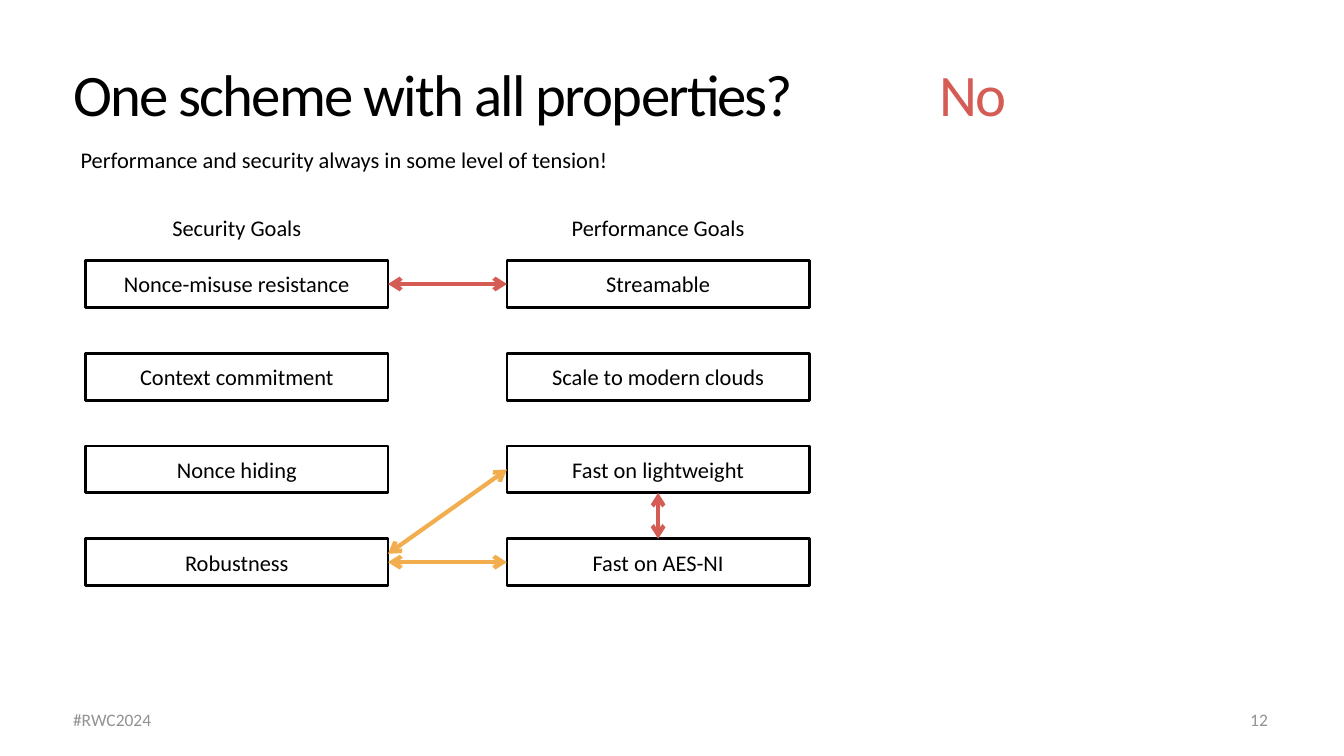
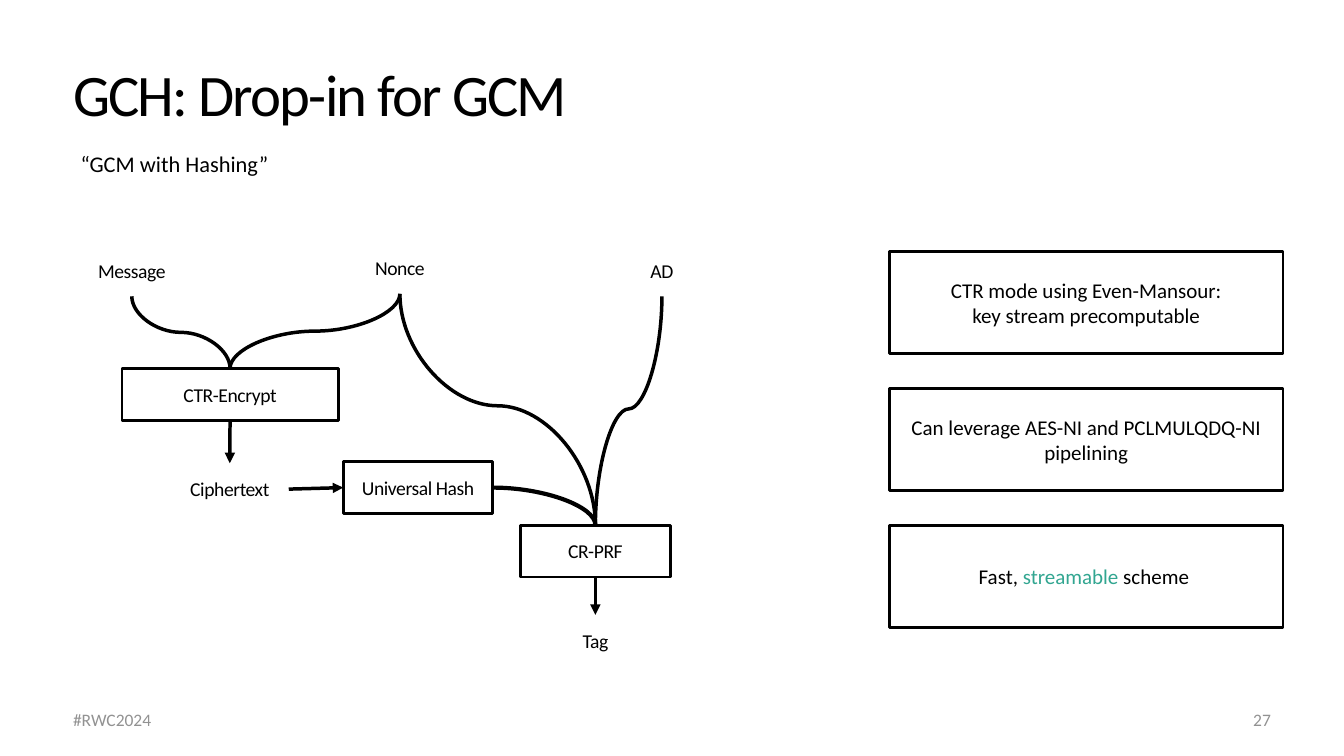
from dataclasses import dataclass, field

from lxml import etree
from pptx import Presentation
from pptx import util as u
from pptx.dml.color import RGBColor
from pptx.enum import shapes, text
from pptx.oxml import ns

Inches, Pt = u.Inches, u.Pt


def text_style(size, color="ink", align="CENTER", anchor="MIDDLE", spacing=0, wrap=True, **para):
    return dict(size=size, color=color, align=align, anchor=anchor,
                spacing=spacing, wrap=wrap, para=para)


# Theme shared by all slides
@dataclass(frozen=True)
class Theme:
    font: str = "Calibri"
    inset: float = 0.06
    frame_width: float = 4
    colors: dict = field(default_factory=lambda: dict(
        ink="000000", paper="FFFFFF", gray="929292",
        red="D55B55", amber="F2AE4E", green="32A691"))
    styles: dict = field(default_factory=lambda: dict(
        title=text_style(84, align="LEFT", anchor="BOTTOM", spacing=-2.5, line_spacing=0.8),
        answer=text_style(84, "red", "LEFT", "BOTTOM", -2.5, line_spacing=0.8),
        subtitle=text_style(32, align="LEFT", wrap=False, space_before=Pt(8)),
        footer=text_style(25, "gray", "LEFT"),
        number=text_style(25, "gray", "RIGHT"),
        goal=text_style(32),
        block=text_style(28, spacing=-0.6),
        note=text_style(30)))


THEME = Theme()
SLIDE_SIZE = (26.67, 15)
TITLE_AT = (1.39, 0.89, 23.89, 1.7)
FOOTER_AT = (1.39, 13.89, 10, 0.76)
FOOTER = "#RWC2024"

# Content of the goals slide
GOALS = dict(
    title="One scheme with all properties?", number="12", number_at=(15.22, 13.98, 10, 0.58),
    subtitle="Performance and security always in some level of tension!",
    subtitle_at=(1.54, 2.82, 12.13, 0.69))
ANSWER, ANSWER_AT = "No", (18.58, 0.89, 7.12, 1.7)
GOAL_COLUMNS = {
    "Security Goals": ["Nonce-misuse resistance", "Context commitment",
                       "Nonce hiding", "Robustness"],
    "Performance Goals": ["Streamable", "Scale to modern clouds",
                          "Fast on lightweight", "Fast on AES-NI"],
}
GOAL_LEFT, GOAL_TOP, GOAL_HEADING_TOP = 1.7, 5.17, 4.05
GOAL_STEP_X, GOAL_STEP_Y = 8.36, 1.84
GOAL_WIDTH, GOAL_HEIGHT = 6, 0.93
# Where a line meets a box, as fractions of its width and height
LEFT, RIGHT, TOP, BOTTOM = (0, 0.5), (1, 0.5), (0.5, 0), (0.5, 1)
RIGHT_UPPER = (1, 0.32)
TENSIONS = [
    ("Streamable", LEFT, "Nonce-misuse resistance", RIGHT, "red"),
    ("Fast on AES-NI", LEFT, "Robustness", RIGHT, "amber"),
    ("Fast on lightweight", BOTTOM, "Fast on AES-NI", TOP, "red"),
    ("Fast on lightweight", LEFT, "Robustness", RIGHT_UPPER, "amber"),
]

# Content of the scheme slide
SCHEME = dict(
    title="GCH: Drop-in for GCM", number="27", number_at=(15.28, 13.98, 10, 0.58),
    subtitle="“GCM with Hashing”", subtitle_at=(1.54, 2.92, 4.41, 0.65))
BLOCK_HEIGHT = 1.03
BLOCKS = [  # label, kind, left, top, width
    ("Message", "plain", 0.47, 4.85, 4.29),
    ("CR-PRF", "framed", 10.33, 10.42, 2.97),
    ("Tag", "plain", 9.67, 12.2, 4.29),
    ("CTR-Encrypt", "framed", 2.42, 7.31, 4.29),
    ("Ciphertext", "text", 3.39, 9.19, 2.34),
    ("Universal Hash", "framed", 6.81, 9.16, 2.97),
    ("AD", "text", 10.99, 4.85, 4.29),
    ("Nonce", "text", 5.79, 4.8, 4.29),
]
FALLING_CURVES = [  # from the bottom, to the top, bend
    ("Nonce", "CTR-Encrypt", 0.5),
    ("Nonce", "CR-PRF", 0.484),
    ("Message", "CTR-Encrypt", 0.5),
    ("AD", "CR-PRF", 0.492),
]
FLOWS = [
    ("CTR-Encrypt", BOTTOM, "Ciphertext", TOP),
    ("CR-PRF", BOTTOM, "Tag", TOP),
    ("Ciphertext", RIGHT, "Universal Hash", LEFT),
]
NOTES = [
    ["CTR mode using Even-Mansour:", "key stream precomputable"],
    ["Can leverage AES-NI and PCLMULQDQ-NI pipelining"],
    [[("Fast, ", "ink"), ("streamable", "green"), (" scheme ", "ink")]],
]
NOTE_LEFT, NOTE_TOP, NOTE_STEP, NOTE_WIDTH, NOTE_HEIGHT = 17.65, 4.99, 2.72, 7.81, 2.02


# Drawing helpers
def rgb(name):
    return RGBColor.from_string(THEME.colors[name])


def assign(target, values):
    for name, value in values.items():
        setattr(target, name, value)


def place(shape, at):
    assign(shape, dict(zip(("left", "top", "width", "height"), map(Inches, at))))


def write(shape, lines, style_name):
    """Fill a shape with paragraphs; a paragraph is a string or (words, color) pairs."""
    style = THEME.styles[style_name]
    frame = shape.text_frame
    assign(frame, {f"margin_{side}": Inches(THEME.inset)
                   for side in ("left", "right", "top", "bottom")})
    assign(frame, dict(word_wrap=style["wrap"], auto_size=text.MSO_AUTO_SIZE.NONE,
                       vertical_anchor=text.MSO_ANCHOR[style["anchor"]]))
    for index, line in enumerate(lines):
        para = frame.add_paragraph() if index else frame.paragraphs[0]
        assign(para, dict(alignment=text.PP_ALIGN[style["align"]], **style["para"]))
        for words, color in [(line, style["color"])] if isinstance(line, str) else line:
            span = para.add_run()
            span.text = words
            assign(span.font, dict(name=THEME.font, size=Pt(style["size"])))
            span.font.color.rgb = rgb(color)
            if style["spacing"]:
                span._r.get_or_add_rPr().set("spc", str(round(style["spacing"] * 100)))


def add_box(page, lines, at, style_name, kind="text"):
    """Add text alone, on a plain white box, or on a framed white box."""
    area = [Inches(length) for length in at]
    if kind == "text":
        box = page.shapes.add_textbox(*area)
    else:
        box = page.shapes.add_shape(shapes.MSO_SHAPE.RECTANGLE, *area)
        box.shadow.inherit = False
        box.fill.solid()
        box.fill.fore_color.rgb = rgb("paper")
        if kind == "framed":
            box.line.color.rgb = rgb("ink")
            box.line.width = Pt(THEME.frame_width)
        else:
            box.line.fill.background()
    write(box, lines, style_name)


def point(at, spot):
    left, top, width, height = at
    return left + width * spot[0], top + height * spot[1]


def add_line(page, start, end, color="ink", width=5, curve=False, head=None, tail=None):
    kind = shapes.MSO_CONNECTOR.CURVE if curve else shapes.MSO_CONNECTOR.STRAIGHT
    line = page.shapes.add_connector(kind, *map(Inches, (*start, *end)))
    line.line.color.rgb = rgb(color)
    line.line.width = Pt(width)
    for tag, arrow in (("a:headEnd", head), ("a:tailEnd", tail)):
        if arrow:
            etree.SubElement(line.line._ln, ns.qn(tag), type=arrow)
    etree.SubElement(line._element.spPr, ns.qn("a:effectLst"))
    return line


def add_falling_curve(page, start, end, bend):
    """Draw an S curve that leaves and arrives vertically, by a quarter turn."""
    (x1, y1), (x2, y2) = start, end
    middle_x, middle_y = (x1 + x2) / 2, (y1 + y2) / 2
    rightward = x2 > x1
    half_run = (y2 - y1) / 2 * (1 if rightward else -1)
    half_rise = abs(x2 - x1) / 2
    line = add_line(page, (middle_x + half_run, middle_y - half_rise),
                    (middle_x - half_run, middle_y + half_rise), curve=True)
    properties = line._element.spPr
    properties.find(ns.qn("a:xfrm")).set("rot", str((270 if rightward else 90) * 60000))
    guides = properties.find(ns.qn("a:prstGeom")).find(ns.qn("a:avLst"))
    etree.SubElement(guides, ns.qn("a:gd"), name="adj1", fmla=f"val {round(bend * 100000)}")


def add_page(deck, content):
    """Start a slide with title, subtitle, footer and number."""
    page = deck.slides.add_slide(deck.slide_layouts.get_by_name("Title Only"))
    place(page.shapes.title, TITLE_AT)
    write(page.shapes.title, [content["title"]], "title")
    add_box(page, [FOOTER], FOOTER_AT, "footer")
    add_box(page, [content["number"]], content["number_at"], "number")
    add_box(page, [content["subtitle"]], content["subtitle_at"], "subtitle")
    return page


# Slides
def build_goals(deck):
    page = add_page(deck, GOALS)
    add_box(page, [ANSWER], ANSWER_AT, "answer")
    places = {}
    for column, (heading, goals) in enumerate(GOAL_COLUMNS.items()):
        left = GOAL_LEFT + column * GOAL_STEP_X
        add_box(page, [heading], (left, GOAL_HEADING_TOP, GOAL_WIDTH, GOAL_HEIGHT),
                "goal", "plain")
        for row, goal in enumerate(goals):
            places[goal] = (left, GOAL_TOP + row * GOAL_STEP_Y, GOAL_WIDTH, GOAL_HEIGHT)
            add_box(page, [goal], places[goal], "goal", "framed")
    for source, leave, target, arrive, color in TENSIONS:
        add_line(page, point(places[source], leave), point(places[target], arrive),
                 color, 6, head="arrow", tail="arrow")


def build_scheme(deck):
    page = add_page(deck, SCHEME)
    places = {}
    for label, kind, left, top, width in BLOCKS:
        places[label] = (left, top, width, BLOCK_HEIGHT)
        add_box(page, [label], places[label], "block", kind)
    for source, target, bend in FALLING_CURVES:
        add_falling_curve(page, point(places[source], BOTTOM), point(places[target], TOP), bend)
    for source, leave, target, arrive in FLOWS:
        add_line(page, point(places[source], leave), point(places[target], arrive),
                 tail="triangle")
    # The hash output bends once, from sideways to down
    turn = add_line(page, point(places["Universal Hash"], RIGHT),
                    point(places["CR-PRF"], TOP), width=6, curve=True)
    turn._element.spPr.find(ns.qn("a:prstGeom")).set("prst", "curvedConnector2")
    for row, lines in enumerate(NOTES):
        add_box(page, lines, (NOTE_LEFT, NOTE_TOP + row * NOTE_STEP, NOTE_WIDTH, NOTE_HEIGHT),
                "note", "framed")


def main():
    deck = Presentation()
    deck.slide_width, deck.slide_height = map(Inches, SLIDE_SIZE)
    build_goals(deck)
    build_scheme(deck)
    deck.save("out.pptx")


if __name__ == "__main__":
    main()
